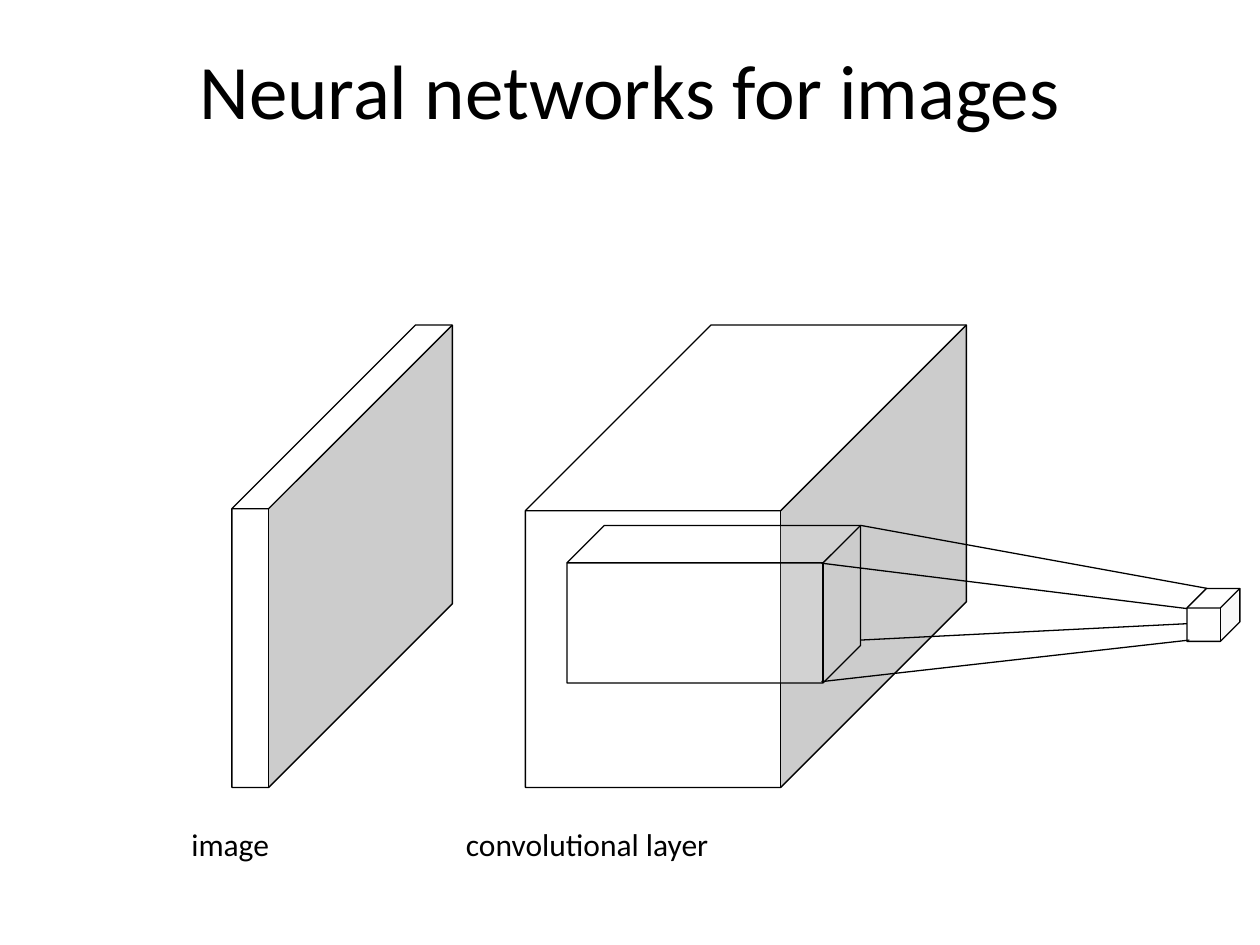
from dataclasses import dataclass

from lxml import etree
from pptx import Presentation
from pptx.dml.color import RGBColor
from pptx.enum.shapes import MSO_CONNECTOR as Connector, MSO_SHAPE as Shape
from pptx.enum.text import MSO_ANCHOR as Anchor, MSO_AUTO_SIZE as AutoSize, PP_ALIGN as Align
from pptx.oxml.ns import qn
from pptx.util import Inches, Pt


@dataclass(frozen=True)
class Theme:
    font: str = "Calibri"
    ink: RGBColor = RGBColor(0, 0, 0)
    paper: RGBColor = RGBColor(255, 255, 255)
    title_size: int = 44
    label_size: int = 18
    line_width: float = 0.75
    glass_opacity: int = 13  # percent


class Diagram:
    def __init__(self, slide, theme):
        self.slide = slide
        self.theme = theme

    def text(self, words, box, size):
        shape = self.slide.shapes.add_textbox(*map(Inches, box))
        paragraph = shape.text_frame.paragraphs[0]
        paragraph.text = words
        paragraph.font.name = self.theme.font
        paragraph.font.size = Pt(size)
        paragraph.font.color.rgb = self.theme.ink
        return shape.text_frame

    def title(self, words, box):
        frame = self.text(words, box, self.theme.title_size)
        frame.word_wrap = True
        frame.vertical_anchor = Anchor.MIDDLE
        frame.paragraphs[0].alignment = Align.CENTER

    def label(self, words, box):
        frame = self.text(words, box, self.theme.label_size)
        frame.word_wrap = False
        frame.auto_size = AutoSize.SHAPE_TO_FIT_TEXT

    def outline(self, line):
        line.color.rgb = self.theme.ink
        line.width = Pt(self.theme.line_width)

    def cube(self, box, depth, glass=False):
        cube = self.slide.shapes.add_shape(Shape.CUBE, *map(Inches, box))
        cube.adjustments[0] = depth
        cube.shadow.inherit = False
        cube.fill.solid()
        cube.fill.fore_color.rgb = self.theme.paper
        self.outline(cube.line)
        if glass:
            color = cube._element.spPr.find(qn("a:solidFill"))[0]
            alpha = etree.SubElement(color, qn("a:alpha"))
            alpha.set("val", str(self.theme.glass_opacity * 1000))

    def line(self, start, end):
        line = self.slide.shapes.add_connector(
            Connector.STRAIGHT, *map(Inches, (*start, *end)))
        self.outline(line.line)
        etree.SubElement(line._element.spPr, qn("a:effectLst"))


def main():
    deck = Presentation()
    deck.slide_width, deck.slide_height = Inches(10), Inches(7.5)
    theme = Theme()
    diagram = Diagram(deck.slides.add_slide(deck.slide_layouts[6]), theme)

    diagram.title("Neural networks for images", (0.5, 0.08, 9, 1.25))

    # Input image, convolutional layer and its receptive field
    diagram.cube((1.84, 2.58, 1.75, 3.67), 0.833)
    diagram.cube((4.17, 2.58, 3.5, 3.67), 0.421)
    diagram.cube((4.5, 4.17, 2.33, 1.25), 0.238, glass=True)

    diagram.label("image", (1.42, 6.5, 1.12, 0.5))
    diagram.label("convolutional layer", (3.6, 6.5, 3.06, 0.5))

    # Projection from the receptive field's corners to the output unit
    projection = [
        ((6.83, 4.17), (9.58, 4.67)),
        ((6.52, 4.47), (9.42, 4.83)),
        ((6.52, 5.41), (9.44, 5.08)),
        ((6.83, 5.08), (9.42, 4.95)),
    ]
    for corner, target in projection:
        diagram.line(corner, target)

    # Output unit
    diagram.cube((9.42, 4.67, 0.42, 0.42), 0.369, glass=True)

    deck.save("out.pptx")


if __name__ == "__main__":
    main()
